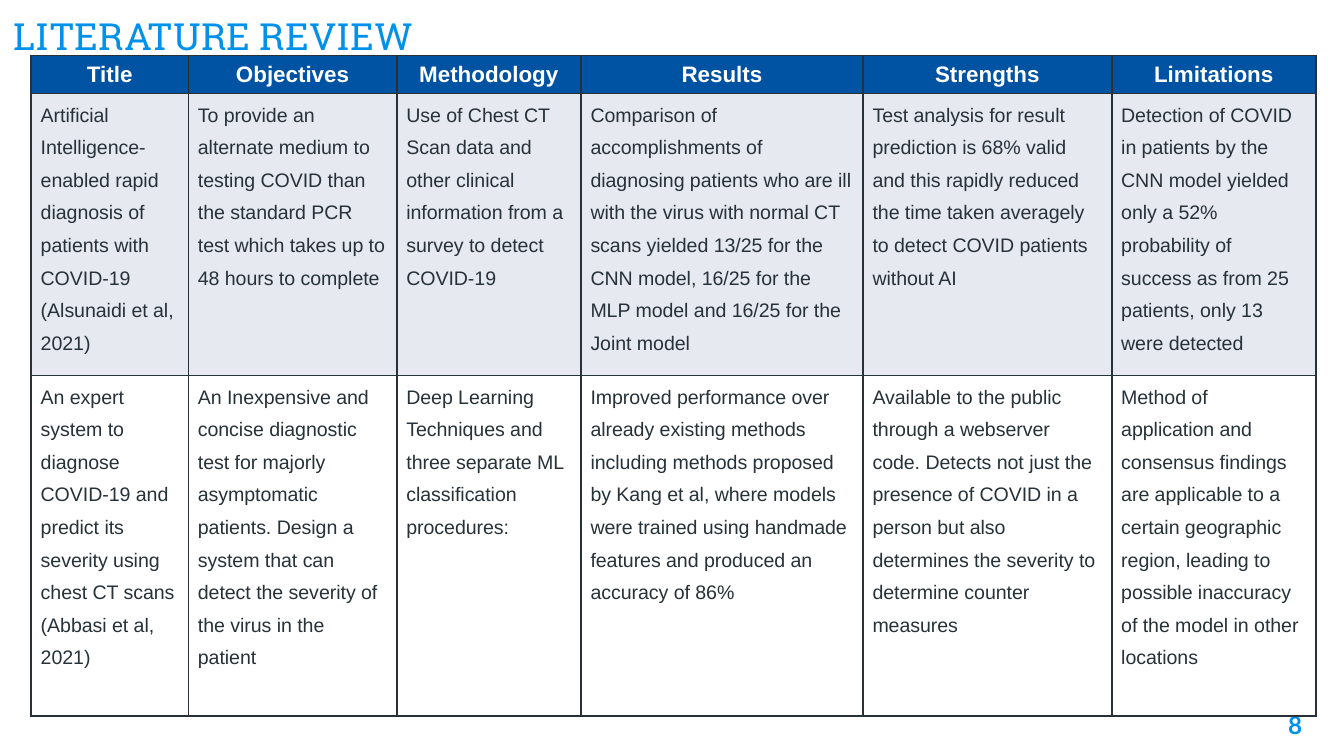
from lxml.etree import SubElement
from pptx import Presentation
from pptx.dml.color import RGBColor
from pptx.enum.text import MSO_ANCHOR, PP_ALIGN
from pptx.oxml.ns import qn
from pptx.util import Cm, Pt

BLUE, NAVY, INK, PALE, WHITE = "0091EA", "0053A3", "263238", "E7E9F0", "FFFFFF"


def write(frame, text, size, color, font="Arial", bold=False,
          align=PP_ALIGN.LEFT, space=None):
    frame.word_wrap = True
    for i, line in enumerate(text.split("\n")):
        para = frame.add_paragraph() if i else frame.paragraphs[0]
        para.alignment = align
        para.line_spacing = space
        run = para.add_run()
        run.text = line
        run.font.size = Pt(size)
        run.font.name = font
        run.font.bold = bold
        run.font.color.rgb = RGBColor.from_string(color)


def edge(cell):
    props = cell._tc.get_or_add_tcPr()
    for i, side in enumerate(("a:lnL", "a:lnR", "a:lnT", "a:lnB")):
        line = props.makeelement(qn(side), {"w": str(Pt(1))})
        fill = SubElement(line, qn("a:solidFill"))
        SubElement(fill, qn("a:srgbClr"), val=INK)
        props.insert(i, line)


deck = Presentation()
deck.slide_width, deck.slide_height = Cm(25.4), Cm(14.29)
slide = deck.slides.add_slide(deck.slide_layouts[6])

# Title and page number
labels = [
    ("LITERATURE REVIEW", (0, 0, 21.03, 1.35), MSO_ANCHOR.BOTTOM,
     dict(size=20, font="Roboto Slab")),
    ("8", (23.34, 13.18, 1.52, 1.09), MSO_ANCHOR.TOP,
     dict(size=13, font="Lato", bold=True, align=PP_ALIGN.RIGHT)),
]
for text, area, anchor, style in labels:
    frame = slide.shapes.add_textbox(*map(Cm, area)).text_frame
    frame.margin_left = frame.margin_right = Cm(0.25)
    frame.margin_top = frame.margin_bottom = Cm(0.25)
    frame.vertical_anchor = anchor
    write(frame, text, color=BLUE, **style)

# Table content
rows = [
    ["Title", "Objectives", "Methodology", "Results", "Strengths", "Limitations"],
    [
        "Artificial Intelligence-enabled rapid diagnosis of patients with "
        "COVID-19\n(Alsunaidi et al, 2021)",
        "To provide an alternate medium to testing COVID than the standard PCR "
        "test which takes up to 48 hours to complete",
        "Use of Chest CT Scan data and other clinical information from a survey "
        "to detect COVID-19",
        "Comparison of accomplishments of diagnosing patients who are ill with "
        "the virus with normal CT scans yielded 13/25 for the CNN model, 16/25 "
        "for the MLP model and 16/25 for the Joint model",
        "Test analysis for result prediction is 68% valid and this rapidly "
        "reduced the time taken averagely to detect COVID patients without AI",
        "Detection of COVID in patients by the CNN model yielded only a 52% "
        "probability of success as from 25 patients, only 13 were detected",
    ],
    [
        "An expert system to diagnose COVID-19 and predict its severity using "
        "chest CT scans\n(Abbasi et al, 2021)",
        "An Inexpensive and concise diagnostic test for majorly asymptomatic "
        "patients. Design a system that can detect the severity of the virus in "
        "the patient",
        "Deep Learning Techniques and three separate ML classification "
        "procedures:",
        "Improved performance over already existing methods including methods "
        "proposed by Kang et al, where models were trained using handmade "
        "features and produced an accuracy of 86%",
        "Available to the public through a webserver code. Detects not just the "
        "presence of COVID in a person but also determines the severity to "
        "determine counter measures",
        "Method of application and consensus findings are applicable to a "
        "certain geographic region, leading to possible inaccuracy of the model "
        "in other locations",
    ],
]
widths = [2.97, 3.94, 3.48, 5.33, 4.7, 3.86]
heights = [0.72, 4.93, 6.44]
fills = [NAVY, PALE, WHITE]

# Table
table = slide.shapes.add_table(
    len(rows), len(widths), Cm(0.59), Cm(1.05),
    Cm(sum(widths)), Cm(sum(heights))).table
for col, width in zip(table.columns, widths):
    col.width = Cm(width)
for r, (texts, height, fill) in enumerate(zip(rows, heights, fills)):
    table.rows[r].height = Cm(height)
    for c, text in enumerate(texts):
        cell = table.cell(r, c)
        cell.fill.solid()
        cell.fill.fore_color.rgb = RGBColor.from_string(fill)
        edge(cell)
        cell.margin_left = cell.margin_right = Cm(0.18)
        cell.margin_top = cell.margin_bottom = 0
        if r == 0:
            cell.vertical_anchor = MSO_ANCHOR.MIDDLE
            write(cell.text_frame, text, 12, WHITE, bold=True,
                  align=PP_ALIGN.CENTER)
        else:
            write(cell.text_frame, text, 10.5, INK, space=1.5)

deck.save("out.pptx")
